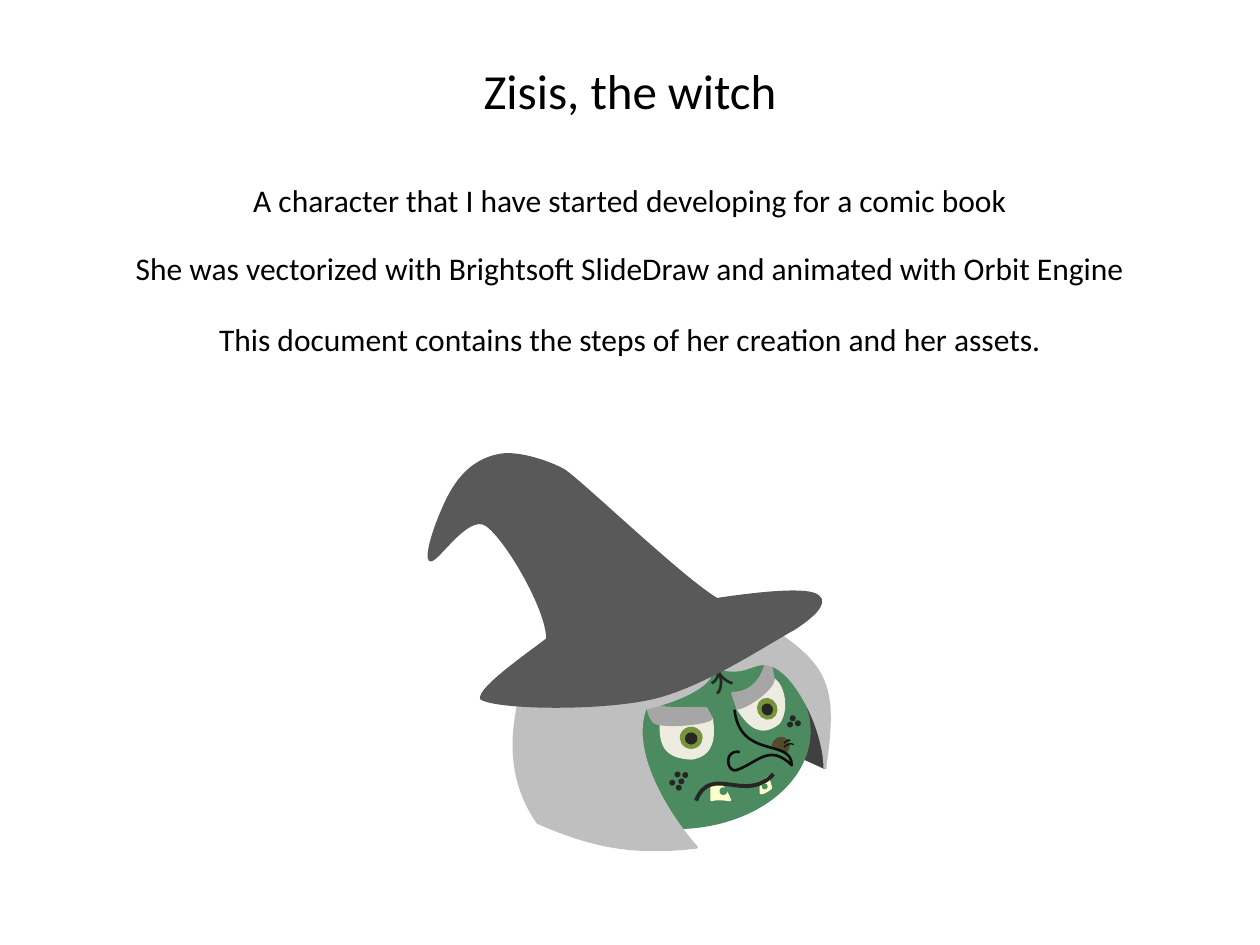
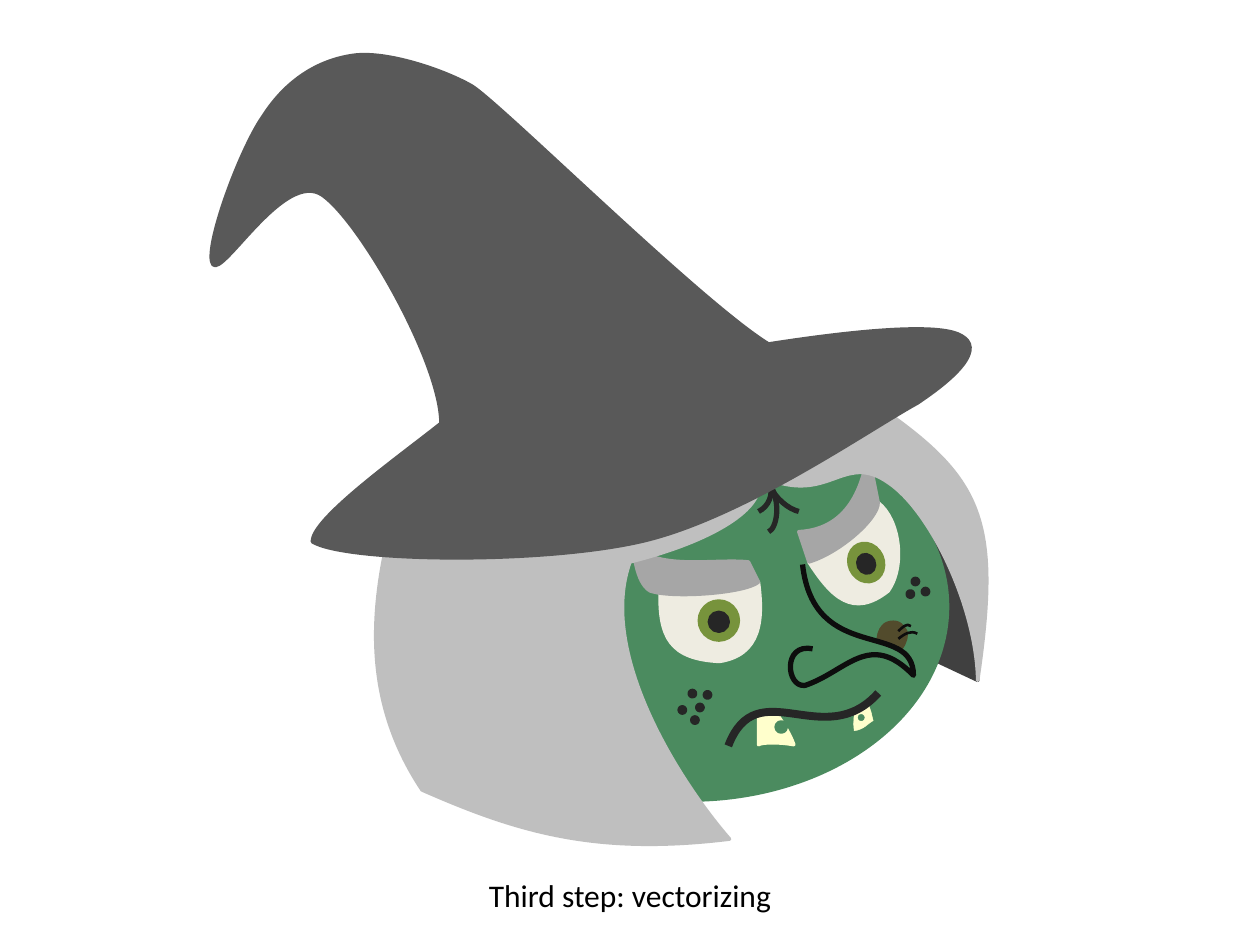
from lxml import etree
from pptx import Presentation
from pptx.dml.color import RGBColor
from pptx.enum.shapes import MSO_SHAPE
from pptx.enum.text import MSO_AUTO_SIZE, PP_ALIGN
from pptx.oxml.ns import qn
from pptx.util import Inches, Pt

OVAL = MSO_SHAPE.OVAL
CENTER = PP_ALIGN.CENTER
GROW = MSO_AUTO_SIZE.SHAPE_TO_FIT_TEXT

FONT = "Calibri"
SLIDE_WIDTH, SLIDE_HEIGHT = 10, 7.5
COLORS = {
    "text": "000000", "hat": "595959", "hair": "BFBFBF", "back_hair": "404040",
    "skin": "4B8B5F", "eye": "EEECE1", "brow": "A6A6A6", "iris": "77933C",
    "dark": "262626", "ink": "0D0D0D", "mole": "524B2C", "tooth": "FFFFCC",
}

# Line widths in points, for the large and the small drawing
LARGE_PENS = {"edge": 2, "thin": 0.25, "mole": 0.75, "whisker": 1.5, "stroke": 3, "mouth": 4.5}
SMALL_PENS = {"edge": 1.5, "thin": 1.5, "mole": 1.5, "whisker": 0.75, "stroke": 1.5, "mouth": 2.25}

# The drawing's own frame: left, top, width, height
FRAME = (1.61, 0.4, 6.33, 6.39)

# An outline is a start point, then lines (x, y) and curves (two controls and an end)
BACK_HAIR = [(6.89, 3.75), (7.07, 3.62, 7.18, 3.56, 7.44, 3.91),
             (7.55, 4.27, 7.75, 4.88, 7.76, 5.4), (7.44, 5.25), (6.89, 3.75)]
WRINKLES = [
    [(6.1, 3.83), (6.21, 3.99, 6.16, 4.2, 6.1, 4.22)],
    [(6.1, 3.83), (6.15, 3.96, 6.26, 4.04, 6.34, 4.06)],
    [(6.11, 3.83), (6.14, 3.93, 6.1, 4.02, 6.02, 4.06)],
]
EYES = [
    [(5.24, 4.69), (5.51, 4.71, 5.73, 4.72, 6.02, 4.62),
     (6.06, 4.92, 6.04, 5.2, 5.71, 5.25), (5.32, 5.23, 5.23, 5.06, 5.24, 4.69)],
    [(6.42, 4.46), (6.67, 4.36, 6.81, 4.15, 6.97, 3.99),
     (7.14, 4.12, 7.19, 4.49, 7.05, 4.69), (6.77, 4.91, 6.6, 4.74, 6.42, 4.46)],
]
BROWS = [
    [(5, 4.3), (5.19, 4.54, 5.66, 4.43, 5.94, 4.46), (6.02, 4.62),
     (5.91, 4.71, 5.33, 4.75, 5.16, 4.69), (5.04, 4.62, 5.04, 4.37, 5, 4.3)],
    [(6.34, 4.22), (6.74, 4.2, 6.85, 3.85, 6.89, 3.59), (6.97, 3.99),
     (6.97, 4.12, 6.66, 4.39, 6.42, 4.46), (6.34, 4.22)],
]
HAIR = [
    [(3.11, 4.14), (3.35, 3.82, 5.71, 3.79, 6.02, 3.83),
     (6.06, 4.03, 5.68, 4.29, 5, 4.46), (4.74, 5.18, 5.39, 6.2, 5.79, 6.66),
     (4.72, 6.79, 4.1, 6.6, 3.35, 6.27), (2.87, 5.55, 2.94, 4.82, 3.11, 4.14)],
    [(6.1, 3.36), (7.05, 3.28), (7.81, 3.82, 7.94, 4.17, 7.76, 5.4),
     (7.75, 4.81, 7.38, 4.05, 7.05, 3.83), (6.72, 3.6, 6.6, 3.95, 6.18, 3.83),
     (6.1, 3.36)],
]
HAT = [
    (2.56, 1.55), (2.26, 1.34, 1.77, 2.2, 1.69, 2.1),
    (1.61, 1.99, 1.9, 1.19, 2.09, 0.92), (2.27, 0.64, 2.52, 0.48, 2.8, 0.44),
    (3.07, 0.4, 3.53, 0.56, 3.74, 0.68), (3.95, 0.8, 5.56, 2.4, 6.1, 2.73),
    (6.81, 2.62, 7.4, 2.57, 7.6, 2.65), (7.8, 2.73, 7.7, 2.92, 7.28, 3.2),
    (6.88, 3.42, 5.88, 4.12, 5.08, 4.3), (4.28, 4.48, 2.74, 4.46, 2.48, 4.3),
    (2.47, 4.12, 3.16, 3.63, 3.5, 3.36), (3.5, 2.88, 2.86, 1.76, 2.56, 1.55),
]
MOLE = [
    (6.97, 5.09), (6.95, 5.06, 6.98, 4.99, 7, 4.97), (7.02, 4.94, 7.06, 4.93, 7.09, 4.93),
    (7.12, 4.93, 7.15, 4.94, 7.17, 4.97), (7.19, 4.99, 7.21, 5.02, 7.2, 5.05),
    (7.2, 5.08, 7.17, 5.16, 7.13, 5.17), (7.09, 5.17, 6.99, 5.12, 6.97, 5.09),
]
WHISKERS = [
    [(7.13, 5.01), (7.16, 4.98, 7.2, 4.94, 7.23, 4.97)],
    [(7.13, 5.07), (7.18, 5.03, 7.23, 5, 7.28, 5.03)],
]
NOSE = [(6.37, 4.48), (6.46, 5.28, 7.25, 4.92, 7.25, 5.36),
        (6.9, 5, 6.72, 5.33, 6.39, 5.44), (6.24, 5.46, 6.21, 5.1, 6.45, 5.15)]
LEFT_TOOTH = [(6.02, 5.66), (6.07, 5.66, 6.07, 5.69, 6.16, 5.66),
              (6.22, 5.74, 6.28, 5.85, 6.3, 5.91),
              (6.19, 5.89, 6.05, 5.89, 6.02, 5.91), (6.02, 5.66)]
RIGHT_TOOTH = [(6.78, 5.64), (6.81, 5.64, 6.81, 5.66, 6.88, 5.56),
               (6.92, 5.66, 6.91, 5.64, 6.93, 5.72),
               (6.89, 5.74, 6.86, 5.79, 6.78, 5.8),
               (6.77, 5.72, 6.78, 5.72, 6.78, 5.64)]
MOUTH = [(5.78, 5.92), (6.01, 5.32, 6.54, 5.98, 6.97, 5.5)]
FRECKLES = [(5.47, 5.48), (5.39, 5.61), (5.49, 5.69), (5.53, 5.59),
            (5.59, 5.49), (7.24, 4.59), (7.2, 4.69), (7.32, 4.67)]


class Canvas:
    """Draws parts given in FRAME coordinates into a box on a slide."""

    def __init__(self, slide, box, pens):
        self.shapes = slide.shapes.add_group_shape().shapes
        self.left, self.top, width, height = box
        self.scale_x, self.scale_y = width / FRAME[2], height / FRAME[3]
        self.pens = pens

    def place(self, x, y):
        """Return the slide position of a frame point."""
        return (Inches(self.left + (x - FRAME[0]) * self.scale_x),
                Inches(self.top + (y - FRAME[1]) * self.scale_y))

    def paint(self, shape, fill, line, pen):
        """Set fill and line; without a fill the shape is a bare stroke."""
        shape.shadow.inherit = False
        if fill:
            shape.fill.solid()
            shape.fill.fore_color.rgb = RGBColor.from_string(COLORS[fill])
        else:
            shape.fill.background()
        shape.line.color.rgb = RGBColor.from_string(COLORS[line])
        shape.line.width = Pt(self.pens[pen])

    def oval(self, x, y, width, height, color, pen="edge", rotation=0):
        """Add an ellipse."""
        shape = self.shapes.add_shape(OVAL, *self.place(x, y), Inches(width * self.scale_x),
                                      Inches(height * self.scale_y))
        shape.rotation = rotation
        self.paint(shape, color, color, pen)

    def outline(self, steps, fill, line=None, pen="edge"):
        """Add an outline, closed when it ends where it starts."""
        points = [self.place(*step[i:i + 2]) for step in steps for i in range(0, len(step), 2)]
        builder = self.shapes.build_freeform(*points[0], scale=1.0)
        builder.add_line_segments(points[1:], close=points[0] == points[-1])
        shape = builder.convert_to_shape()
        bend(shape, steps)
        self.paint(shape, fill, line or fill, pen)


def bend(shape, steps):
    """Turn each run of three line segments that stands for a curve into a Bezier."""
    segments = iter(list(shape.element.iter(qn("a:lnTo"))))
    for step in steps[1:]:
        first = next(segments)
        if len(step) == 2:
            continue
        curve = etree.SubElement(first.getparent(), qn("a:cubicBezTo"))
        first.addprevious(curve)
        for segment in (first, next(segments), next(segments)):
            curve.append(segment[0])
            segment.getparent().remove(segment)


def draw_head(canvas):
    """Draw face, brows, hair and hat."""
    canvas.outline(BACK_HAIR, "back_hair")
    canvas.oval(3.43, 3.28, 4.09, 3.07, "skin")
    for wrinkle in WRINKLES:
        canvas.outline(wrinkle, None, "dark", "stroke")
    for outlines, color in ((EYES, "eye"), (BROWS, "brow"), (HAIR, "hair")):
        for steps in outlines:
            canvas.outline(steps, color)
    canvas.outline(HAT, "hat")


def draw_features(canvas):
    """Draw freckles, mole, nose, mouth and irises."""
    for x, y in FRECKLES:
        canvas.oval(x, y, 0.05, 0.05, "dark")
    canvas.outline(MOLE, "mole", pen="mole")
    for whisker in WHISKERS:
        canvas.outline(whisker, None, "ink", "whisker")
    canvas.outline(NOSE, "skin", "ink", "stroke")
    canvas.outline(LEFT_TOOTH, "tooth")
    canvas.outline(RIGHT_TOOTH, "tooth", pen="thin")
    canvas.outline(MOUTH, None, "dark", "mouth")
    canvas.oval(6.81, 5.67, 0.05, 0.05, "skin", "thin")
    canvas.oval(6.16, 5.73, 0.08, 0.08, "skin")
    canvas.oval(5.55, 4.77, 0.31, 0.31, "iris")
    canvas.oval(5.63, 4.86, 0.15, 0.15, "dark")
    canvas.oval(6.74, 4.31, 0.27, 0.31, "iris", rotation=336)
    canvas.oval(6.81, 4.4, 0.13, 0.15, "dark", rotation=336)


def draw_witch(slide, box, pens):
    """Draw the whole witch inside a box."""
    canvas = Canvas(slide, box, pens)
    draw_head(canvas)
    draw_features(canvas)


def add_centered_text(slide, top, text, size=18, height=0.4):
    """Add one centred line across the slide."""
    shape = slide.shapes.add_textbox(0, Inches(top), Inches(SLIDE_WIDTH), Inches(height))
    frame = shape.text_frame
    frame.word_wrap = True
    frame.auto_size = GROW
    paragraph = frame.paragraphs[0]
    paragraph.alignment = CENTER
    run = paragraph.add_run()
    run.text = text
    run.font.name = FONT
    run.font.size = Pt(size)
    run.font.color.rgb = RGBColor.from_string(COLORS["text"])


def build_intro(slide):
    """Title, the small witch and three lines about her."""
    add_centered_text(slide, 0.43, "Zisis, the witch", 28, 0.57)
    draw_witch(slide, (3.37, 3.59, 3.27, 3.2), SMALL_PENS)
    add_centered_text(slide, 1.39, "A character that I have started developing for a comic book")
    add_centered_text(slide, 1.93, "She was vectorized with Brightsoft SlideDraw "
                                   "and animated with Orbit Engine")
    add_centered_text(slide, 2.49, "This document contains the steps of her creation "
                                   "and her assets.")


def build_vector_step(slide):
    """The large witch with its caption."""
    draw_witch(slide, FRAME, LARGE_PENS)
    add_centered_text(slide, 6.9, "Third step: vectorizing")


presentation = Presentation()
presentation.slide_width = Inches(SLIDE_WIDTH)
presentation.slide_height = Inches(SLIDE_HEIGHT)
for build in (build_intro, build_vector_step):
    build(presentation.slides.add_slide(presentation.slide_layouts[6]))
presentation.save("out.pptx")
